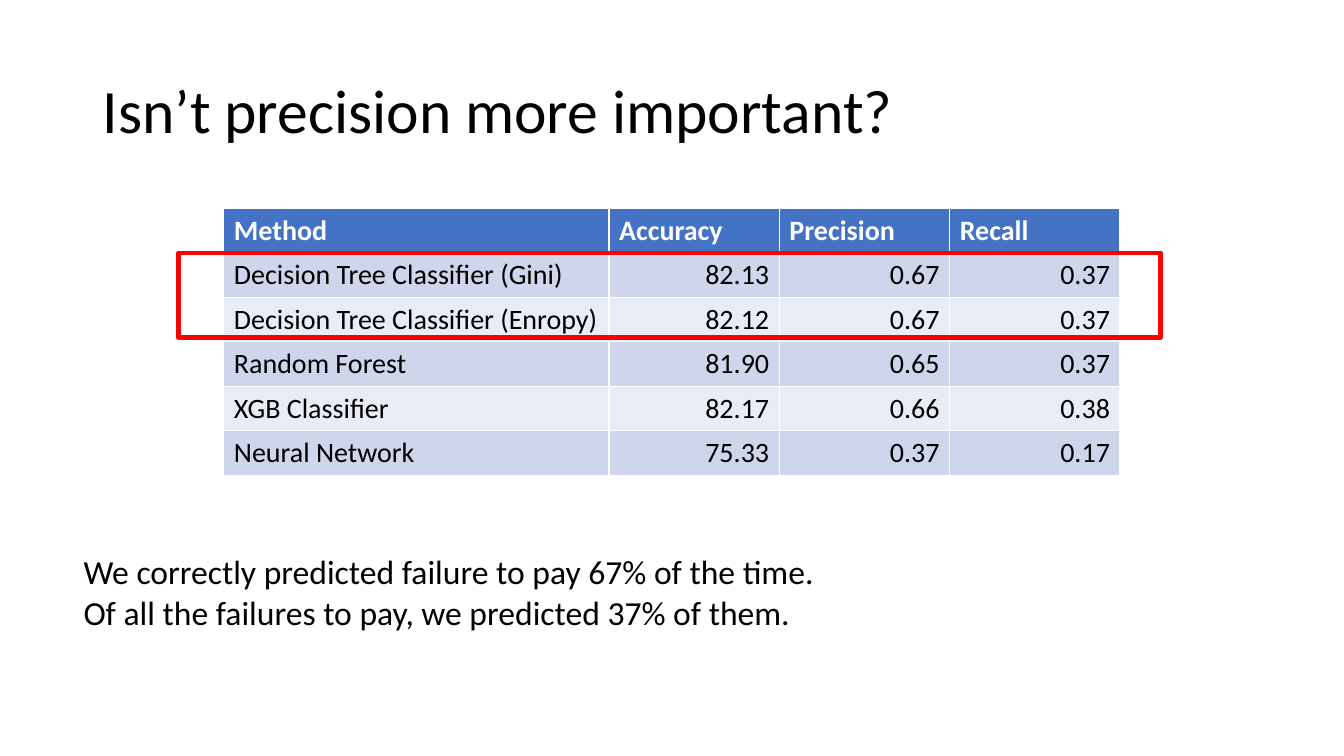
from lxml import etree
from pptx import Presentation
from pptx.dml.color import RGBColor
from pptx.enum.shapes import MSO_SHAPE
from pptx.enum.text import MSO_ANCHOR, MSO_AUTO_SIZE, PP_ALIGN
from pptx.oxml.ns import qn
from pptx.util import Inches, Pt

COLORS = {
    "text": "000000",
    "white": "FFFFFF",
    "header": "4472C4",
    "odd_row": "CFD5EA",
    "even_row": "E9EBF5",
    "highlight": "FF0000",
}


def rgb(name):
    return RGBColor.from_string(COLORS[name])


class SlideBuilder:
    font = "Calibri"

    def __init__(self, slide):
        self.slide = slide

    def add_run(self, paragraph, text, size, color="text", bold=False, align=PP_ALIGN.LEFT):
        paragraph.alignment = align
        run = paragraph.add_run()
        run.text = text
        run.font.name = self.font
        run.font.size = Pt(size)
        run.font.bold = bold
        run.font.color.rgb = rgb(color)

    def title(self, text, left, top, width, height):
        title = self.slide.shapes.title
        title.left, title.top = Inches(left), Inches(top)
        title.width, title.height = Inches(width), Inches(height)
        frame = title.text_frame
        frame.vertical_anchor = MSO_ANCHOR.MIDDLE
        frame.paragraphs[0].line_spacing = 0.9
        self.add_run(frame.paragraphs[0], text, 44)

    def text(self, lines, left, top, width, height, size):
        box = self.slide.shapes.add_textbox(
            Inches(left), Inches(top), Inches(width), Inches(height))
        frame = box.text_frame
        frame.word_wrap = False
        frame.auto_size = MSO_AUTO_SIZE.SHAPE_TO_FIT_TEXT
        for i, line in enumerate(lines):
            paragraph = frame.add_paragraph() if i else frame.paragraphs[0]
            self.add_run(paragraph, line, size)

    def cell_borders(self, cell, top, bottom):
        properties = cell._tc.get_or_add_tcPr()
        for side, width in (("L", 1), ("R", 1), ("T", top), ("B", bottom)):
            line = etree.SubElement(properties, qn(f"a:ln{side}"), w=str(Pt(width)))
            fill = etree.SubElement(line, qn("a:solidFill"))
            etree.SubElement(fill, qn("a:srgbClr"), val=COLORS["white"])

    def table(self, rows, left, top, column_widths, row_height, size):
        table = self.slide.shapes.add_table(
            len(rows), len(column_widths), Inches(left), Inches(top),
            Inches(sum(column_widths)), Inches(row_height * len(rows))).table
        for column, width in zip(table.columns, column_widths):
            column.width = Inches(width)
        for r, values in enumerate(rows):
            table.rows[r].height = Inches(row_height)
            header = r == 0
            fill = "header" if header else "odd_row" if r % 2 else "even_row"
            for c, value in enumerate(values):
                cell = table.cell(r, c)
                self.cell_borders(cell, 3 if r == 1 else 1, 3 if header else 1)
                cell.fill.solid()
                cell.fill.fore_color.rgb = rgb(fill)
                align = PP_ALIGN.LEFT if header or c == 0 else PP_ALIGN.RIGHT
                self.add_run(cell.text_frame.paragraphs[0], value, size,
                             "white" if header else "text", header, align)

    def outline(self, left, top, width, height, color, weight):
        frame = self.slide.shapes.add_shape(
            MSO_SHAPE.RECTANGLE, Inches(left), Inches(top), Inches(width), Inches(height))
        frame.shadow.inherit = False
        frame.fill.background()
        frame.line.color.rgb = rgb(color)
        frame.line.width = Pt(weight)


RESULTS = [
    ("Method", "Accuracy", "Precision", "Recall"),
    ("Decision Tree Classifier (Gini)", "82.13", "0.67", "0.37"),
    ("Decision Tree Classifier (Enropy)", "82.12", "0.67", "0.37"),
    ("Random Forest", "81.90", "0.65", "0.37"),
    ("XGB Classifier", "82.17", "0.66", "0.38"),
    ("Neural Network", "75.33", "0.37", "0.17"),
]

presentation = Presentation()
presentation.slide_width = Inches(13.33)
presentation.slide_height = Inches(7.5)
title_only = presentation.slide_layouts.get_by_name("Title Only")
builder = SlideBuilder(presentation.slides.add_slide(title_only))

builder.title("Isn’t precision more important?", 0.92, 0.4, 11.5, 1.45)
builder.table(RESULTS, 2.22, 2.07, [3.82] + [1.69] * 3, 0.41, 20)
builder.outline(1.77, 2.51, 9.74, 0.84, "highlight", 3)
builder.text(
    ["We correctly predicted failure to pay 67% of the time.",
     "Of all the failures to pay, we predicted 37% of them."],
    0.73, 5.42, 7.51, 0.91, 24)

presentation.save("out.pptx")
